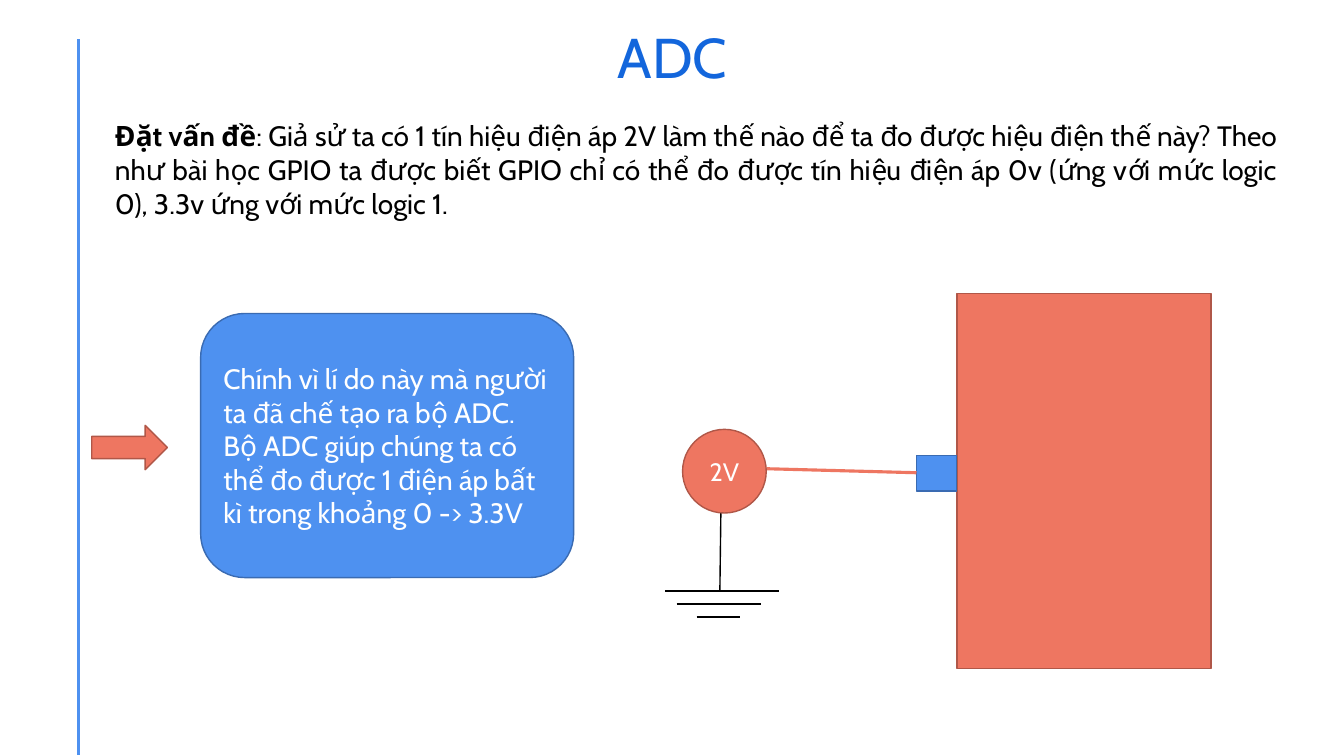
from pptx import Presentation
from pptx.dml.color import RGBColor
from pptx.enum.shapes import MSO_CONNECTOR, MSO_SHAPE
from pptx.enum.text import MSO_ANCHOR, MSO_AUTO_SIZE, PP_ALIGN
from pptx.oxml.ns import qn
from pptx.util import Inches, Pt
from lxml import etree

RECT, OVAL = MSO_SHAPE.RECTANGLE, MSO_SHAPE.OVAL
ROUND, ARROW = MSO_SHAPE.ROUNDED_RECTANGLE, MSO_SHAPE.RIGHT_ARROW
LEFT, CENTER, JUST = PP_ALIGN.LEFT, PP_ALIGN.CENTER, PP_ALIGN.JUSTIFY
TOP, MIDDLE = MSO_ANCHOR.TOP, MSO_ANCHOR.MIDDLE
STRAIGHT, FIXED = MSO_CONNECTOR.STRAIGHT, MSO_AUTO_SIZE.NONE


class Theme:
    """Colours, font and type sizes of the slide."""
    font = "Cabin"
    head, body, label = 40, 20, 18
    title, ink, white = "1366DC", "000000", "FFFFFF"
    blue, coral = ("4E91F0", "3A6BB2"), ("EE7661", "B05748")


def rgb(code):
    """Turn a hex code into a colour."""
    return RGBColor.from_string(code)


def place(shape, box):
    """Set left, top, width and height in inches."""
    for name, value in zip(("left", "top", "width", "height"), box):
        setattr(shape, name, Inches(value))


def write(shape, runs, size, color, align, anchor):
    """Fill one paragraph with (text, bold) runs."""
    frame = shape.text_frame
    look = {"word_wrap": True, "auto_size": FIXED, "vertical_anchor": anchor}
    for name, value in look.items():
        setattr(frame, name, value)
    para = frame.paragraphs[0]
    flow = {"alignment": align, "space_before": Pt(0), "line_spacing": 1.0}
    for name, value in flow.items():
        setattr(para, name, value)
    for text, bold in runs:
        run = para.add_run()
        run.text = text
        form = {"name": Theme.font, "size": Pt(size), "bold": bold}
        for name, value in form.items():
            setattr(run.font, name, value)
        run.font.color.rgb = rgb(color)


def block(slide, kind, box, pair):
    """Add a preset shape with a fill and a darker outline."""
    shape = slide.shapes.add_shape(kind, *map(Inches, box))
    shape.shadow.inherit = False
    shape.fill.solid()
    shape.fill.fore_color.rgb = rgb(pair[0])
    shape.line.color.rgb = rgb(pair[1])
    shape.line.width = Pt(1)
    return shape


def wire(slide, start, end, color, width):
    """Draw a straight line between two points."""
    line = slide.shapes.add_connector(STRAIGHT, *map(Inches, (*start, *end)))
    line.line.color.rgb = rgb(color)
    line.line.width = Pt(width)
    etree.SubElement(line._element.spPr, qn("a:effectLst"))


def header(slide, box):
    """Put the heading in the title placeholder."""
    title = slide.shapes.title
    place(title, box)
    write(title, [("ADC", False)], Theme.head, Theme.title, CENTER, TOP)


def problem(slide, box):
    """Put the question in the body placeholder, without a bullet."""
    body = slide.placeholders[1]
    place(body, box)
    runs = [
        ("Đặt vấn đề", True),
        (": Giả sử ta có 1 tín hiệu điện áp 2V làm thế nào để ta đo được "
         "hiệu điện thế này? Theo như bài học GPIO ta được biết GPIO chỉ có "
         "thể đo được tín hiệu điện áp 0v (ứng với mức logic 0), 3.3v ứng "
         "với mức logic 1.", False),
    ]
    write(body, runs, Theme.body, Theme.ink, JUST, TOP)
    props = body.text_frame.paragraphs[0]._p.get_or_add_pPr()
    props.set("marL", "0")
    props.set("indent", "0")
    etree.SubElement(props, qn("a:buNone"))


def circuit(slide, box):
    """Draw the chip, its pin, the source and the ground sign."""
    x, y, w, h = box
    chip = 2.52
    edge = x + w - chip
    pin = edge - 0.4
    block(slide, RECT, (edge, y, chip, h), Theme.coral)
    block(slide, RECT, (pin, y + 1.61, 0.4, 0.35), Theme.blue)

    size, left, top = 0.83, x + 0.17, y + 1.35
    base = y + 2.95
    wire(slide, (x + 0.54, base), (x + 0.55, top + size), Theme.ink, 1)
    wire(slide, (left + size, y + 1.74), (pin, y + 1.78),
         Theme.coral[0], 2.25)
    for row, (start, end) in enumerate([(0, 1.13), (0.11, 0.95), (0.31, 0.74)]):
        level = base + row * 0.13
        wire(slide, (x + start, level), (x + end, level), Theme.ink, 1.5)
    source = block(slide, OVAL, (left, top, size, size), Theme.coral)
    write(source, [("2V", False)], Theme.label, Theme.white, CENTER, MIDDLE)


def answer(slide, box):
    """Draw the arrow and the rounded card it points to."""
    x, y, w, h = box
    card = block(slide, ROUND, (x + 1.08, y, w - 1.08, h), Theme.blue)
    text = ("Chính vì lí do này mà người ta đã chế tạo ra bộ ADC. Bộ ADC giúp "
            "chúng ta có thể đo được 1 điện áp bất kì trong khoảng 0 -> 3.3V")
    write(card, [(text, False)], Theme.body, Theme.white, LEFT, MIDDLE)
    block(slide, ARROW, (x, y + 1.11, 0.75, 0.44), Theme.coral)


def main():
    """Build and save the slide."""
    deck = Presentation()
    deck.slide_width, deck.slide_height = Inches(13.33), Inches(7.5)
    slide = deck.slides.add_slide(deck.slide_layouts[1])
    wire(slide, (0.78, 0.39), (0.78, 7.49), Theme.blue[0], 2)
    header(slide, (1.68, 0.17, 9.98, 0.77))
    problem(slide, (1.04, 1.13, 11.73, 1.11))
    circuit(slide, (6.6, 2.91, 5.41, 3.72))
    answer(slide, (0.91, 3.11, 4.78, 2.62))
    deck.save("out.pptx")


main()
